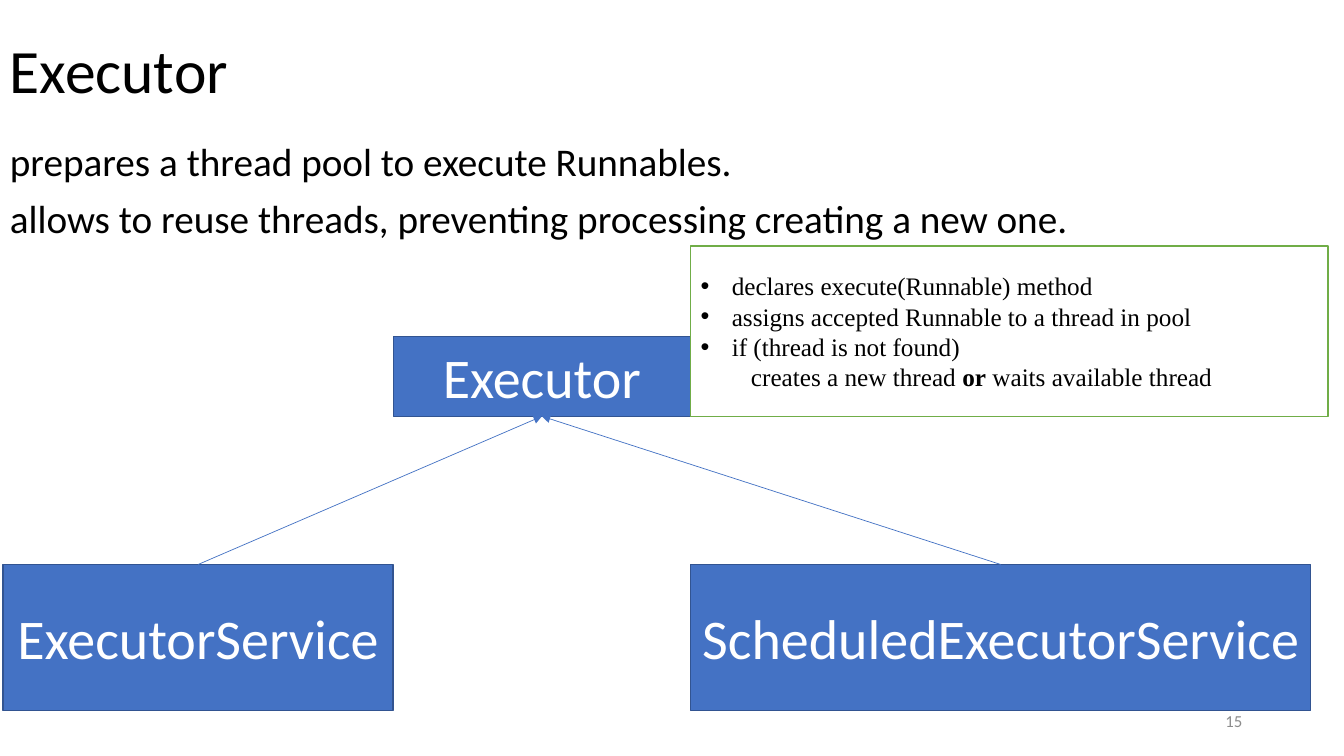
import pptx
import pptx.util
import pptx.dml.color
import pptx.enum.shapes
import pptx.enum.text
import pptx.oxml.ns
from lxml import etree

Inches, Pt = pptx.util.Inches, pptx.util.Pt
ALIGN, ANCHOR = pptx.enum.text.PP_ALIGN, pptx.enum.text.MSO_ANCHOR
qn = pptx.oxml.ns.qn
COLORS = {name: pptx.dml.color.RGBColor.from_string(value) for name, value in {
    "black": "000000", "white": "FFFFFF", "gray": "8C8C8C",
    "blue": "4472C4", "navy": "325491", "green": "70AD47"}.items()}

deck = pptx.Presentation()
deck.slide_width, deck.slide_height = Inches(13.33), Inches(7.5)
page = deck.slides.add_slide(deck.slide_layouts[6])


def write(box, lines, size, color, align, anchor=ANCHOR.MIDDLE, font="Calibri"):
    frame = box.text_frame
    frame.word_wrap = True
    frame.vertical_anchor = anchor
    frame.text = "\n".join(lines)
    for para in frame.paragraphs:
        para.alignment = align
        for span in para.runs:
            span.font.name, span.font.size = font, Pt(size)
            span.font.color.rgb = COLORS[color]
    return frame.paragraphs


def add_box(left, top, width, height, fill, line):
    box = page.shapes.add_shape(pptx.enum.shapes.MSO_SHAPE.RECTANGLE, Inches(left),
                                Inches(top), Inches(width), Inches(height))
    box.shadow.inherit = False
    box.fill.solid()
    box.fill.fore_color.rgb = COLORS[fill]
    box.line.color.rgb = COLORS[line]
    box.line.width = Pt(1)
    return box


# Title, introduction and slide number
title = page.shapes.add_textbox(Inches(0), Inches(0), Inches(11.5), Inches(1.45))
title_paras = write(title, ["Executor"], 44, "black", ALIGN.LEFT)

intro = page.shapes.add_textbox(Inches(0), Inches(1.37), Inches(13.33), Inches(6.13))
intro_paras = write(intro, [
    "prepares a thread pool to execute Runnables.",
    "allows to reuse threads, preventing processing creating a new one.",
], 28, "black", ALIGN.JUSTIFY, ANCHOR.TOP)
intro_paras[1].space_before = Pt(10)
for para in title_paras + intro_paras:
    para.line_spacing = 0.9

number = page.shapes.add_textbox(Inches(9.42), Inches(6.95), Inches(3), Inches(0.4))
write(number, ["15"], 12, "gray", ALIGN.RIGHT)

# Interface hierarchy
interfaces = {}
for name, left, top, width, height in [
    ("Executor", 3.9, 3.34, 2.95, 0.79),
    ("ExecutorService", 0.03, 5.6, 3.87, 1.45),
    ("ScheduledExecutorService", 6.85, 5.6, 6.15, 1.45),
]:
    interfaces[name] = add_box(left, top, width, height, "blue", "navy")
    write(interfaces[name], [name], 40, "white", ALIGN.CENTER)

# Arrows from each child's top centre to the parent's bottom centre
for child in ("ExecutorService", "ScheduledExecutorService"):
    arrow = page.shapes.add_connector(pptx.enum.shapes.MSO_CONNECTOR.STRAIGHT, 0, 0, 0, 0)
    arrow.begin_connect(interfaces[child], 0)
    arrow.end_connect(interfaces["Executor"], 2)
    arrow.line.color.rgb = COLORS["blue"]
    arrow.line.width = Pt(0.5)
    etree.SubElement(arrow.line._get_or_add_ln(), qn("a:tailEnd"), type="triangle")
    etree.SubElement(arrow._element.spPr, qn("a:effectLst"))

# Callout describing Executor
callout = add_box(6.85, 2.44, 6.32, 1.69, "white", "green")
callout_paras = write(callout, [
    "declares execute(Runnable) method",
    "assigns accepted Runnable to a thread in pool",
    "if (thread is not found)",
    "\tcreates a new thread ",
], 18, "black", ALIGN.LEFT, font="Times New Roman")
for para in callout_paras[:3]:
    properties = para._p.get_or_add_pPr()
    properties.set("marL", str(Inches(0.31)))
    properties.set("indent", str(-Inches(0.31)))
    etree.SubElement(properties, qn("a:buFont"), typeface="Arial")
    etree.SubElement(properties, qn("a:buChar"), char="•")
for words, bold in [("or", True), (" waits available thread", False)]:
    span = callout_paras[3].add_run()
    span.text = words
    span.font.name, span.font.size, span.font.bold = "Times New Roman", Pt(18), bold
    span.font.color.rgb = COLORS["black"]

deck.save("out.pptx")
